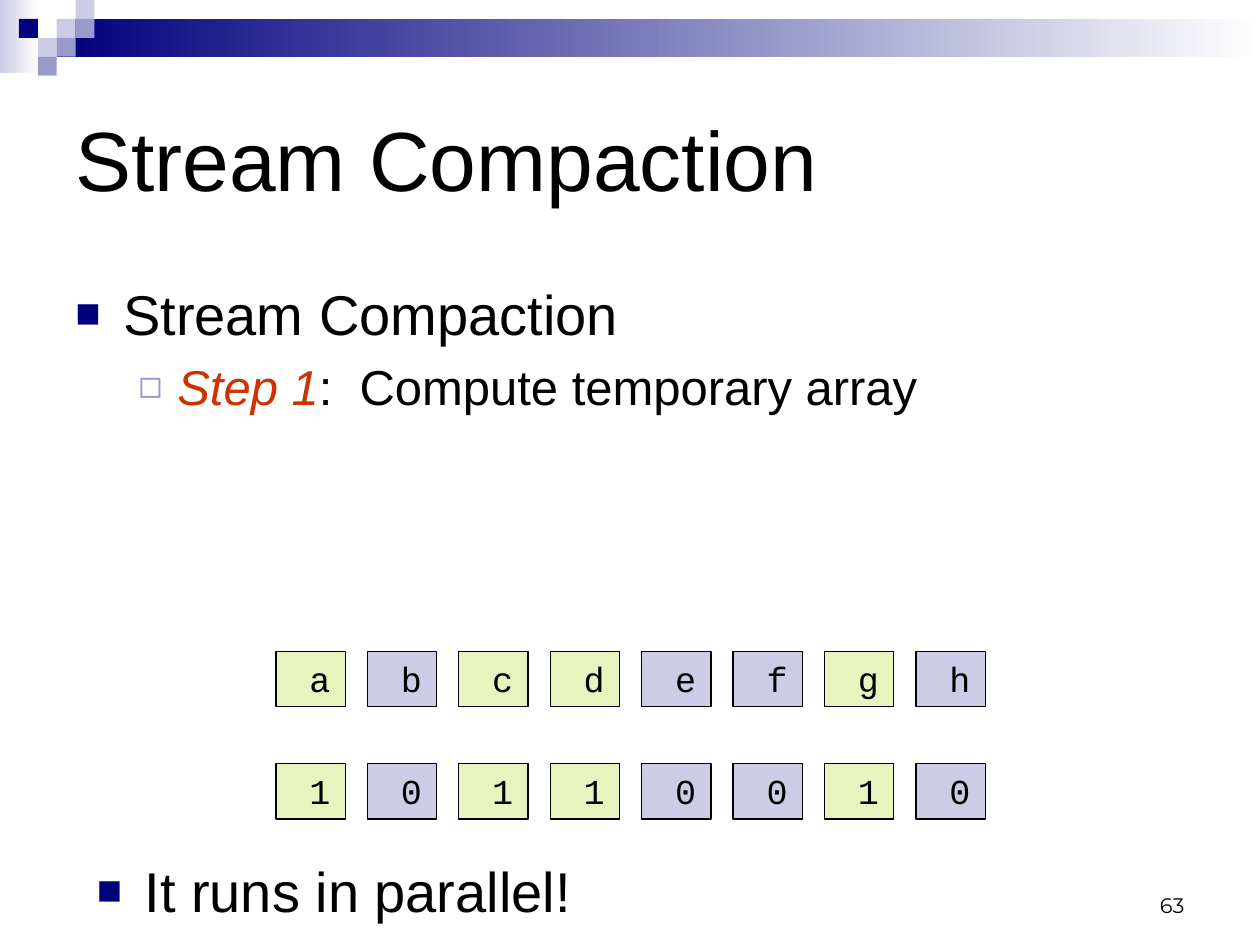
import dataclasses

import lxml.etree
import pptx
import pptx.dml.color
import pptx.enum.shapes
import pptx.enum.text
import pptx.oxml.ns
import pptx.util

Inches = pptx.util.Inches
Pt = pptx.util.Pt
Anchor = pptx.enum.text.MSO_ANCHOR
Align = pptx.enum.text.PP_ALIGN
AutoSize = pptx.enum.text.MSO_AUTO_SIZE


@dataclasses.dataclass(frozen=True)
class Theme:
    navy: str = "00007D"
    mid: str = "9999CC"
    pale: str = "CCCCE6"
    green: str = "E7F4BE"
    accent: str = "CC3300"
    black: str = "000000"
    white: str = "FFFFFF"
    font: str = "Arial"
    mono: str = "Courier New"
    number_font: str = "Montserrat"
    title: int = 48
    bullet: int = 32
    sub_bullet: int = 28
    cell: int = 20
    number: int = 12


def rgb(color):
    return pptx.dml.color.RGBColor.from_string(color)


class Deck:
    def __init__(self, prs, theme):
        self.theme = theme
        self.slide = prs.slides.add_slide(prs.slide_layouts[6])

    def rect(self, x, y, w, h, color, fade_to=None):
        sp = self.slide.shapes.add_shape(
            pptx.enum.shapes.MSO_SHAPE.RECTANGLE,
            Inches(x), Inches(y), Inches(w), Inches(h))
        sp.shadow.inherit = False
        sp.line.fill.background()
        if fade_to:
            sp.fill.gradient()
            sp.fill.gradient_angle = 0
            for stop, shade in zip(sp.fill.gradient_stops, (color, fade_to)):
                stop.color.rgb = rgb(shade)
        else:
            sp.fill.solid()
            sp.fill.fore_color.rgb = rgb(color)
        return sp

    def run(self, p, text, size, font=None, color=None, italic=False):
        r = p.add_run()
        r.text = text
        r.font.size = Pt(size)
        r.font.name = font or self.theme.font
        r.font.color.rgb = rgb(color or self.theme.black)
        r.font.italic = italic

    def cell(self, x, y, w, h, text, color):
        sp = self.rect(x, y, w, h, color)
        sp.line.color.rgb = rgb(self.theme.black)
        sp.line.width = Pt(0.75)
        tf = sp.text_frame
        tf.word_wrap = False
        tf.auto_size = AutoSize.SHAPE_TO_FIT_TEXT
        tf.vertical_anchor = Anchor.TOP
        p = tf.paragraphs[0]
        p.alignment = Align.LEFT
        self.run(p, text, self.theme.cell, self.theme.mono)

    def text_box(self, x, y, w, h, anchor=Anchor.TOP):
        sp = self.slide.shapes.add_textbox(
            Inches(x), Inches(y), Inches(w), Inches(h))
        tf = sp.text_frame
        tf.word_wrap = True
        tf.vertical_anchor = anchor
        return tf

    def bullet(self, p, char, color, percent, size, left, hang):
        p.space_before = Pt(0.2 * size)
        pPr = p._p.get_or_add_pPr()
        pPr.set("marL", str(Inches(left)))
        pPr.set("indent", str(-Inches(hang)))
        qn = pptx.oxml.ns.qn
        clr = lxml.etree.SubElement(pPr, qn("a:buClr"))
        lxml.etree.SubElement(clr, qn("a:srgbClr"), val=color)
        lxml.etree.SubElement(pPr, qn("a:buSzPct"), val=str(percent * 1000))
        lxml.etree.SubElement(pPr, qn("a:buFont"), typeface=self.theme.font)
        lxml.etree.SubElement(pPr, qn("a:buChar"), char=char)

    def main_bullet(self, p, text):
        t = self.theme
        self.bullet(p, "■", t.navy, 75, t.bullet, 0.38, 0.38)
        self.run(p, text, t.bullet)

    def step_bullet(self, p, step, text):
        t = self.theme
        p.level = 1
        self.bullet(p, "◻", t.mid, 80, t.sub_bullet, 0.81, 0.31)
        self.run(p, step, t.sub_bullet, color=t.accent, italic=True)
        self.run(p, text, t.sub_bullet)

    def header(self):
        t = self.theme
        self.rect(0, 0, 0.31, 0.58, t.pale, t.white)
        self.rect(0.45, 0.15, 9.55, 0.3, t.navy, t.white)
        side = 0.15
        squares = [(3, 1, t.pale), (4, 0, t.pale), (4, 1, t.mid),
                   (2, 2, t.pale), (1, 1, t.navy), (3, 2, t.mid),
                   (2, 3, t.mid)]
        for col, row, color in squares:
            self.rect(col * side, row * side, side, side, color)

    def array(self, y, values, flags):
        for i, (value, flag) in enumerate(zip(values, flags)):
            color = self.theme.green if flag == "1" else self.theme.pale
            self.cell(2.19 + i * 5.08 / 7, y, 0.55, 0.44, f" {value}", color)


def main():
    prs = pptx.Presentation()
    prs.slide_width = Inches(10)
    prs.slide_height = Inches(7.5)
    theme = Theme()
    deck = Deck(prs, theme)
    deck.header()

    title = deck.text_box(0.5, 0.5, 9, 1.5, Anchor.MIDDLE)
    deck.run(title.paragraphs[0], "Stream Compaction", theme.title)

    body = deck.text_box(0.5, 2.17, 9.33, 4.25)
    deck.main_bullet(body.paragraphs[0], "Stream Compaction")
    deck.step_bullet(body.add_paragraph(), "Step 1",
                     ":  Compute temporary array")

    flags = "10110010"
    deck.array(5.17, "abcdefgh", flags)
    deck.array(6.06, flags, flags)

    remark = deck.text_box(0.67, 6.75, 9, 0.83)
    deck.main_bullet(remark.paragraphs[0], "It runs in parallel!")

    number = deck.text_box(7.17, 6.83, 2.33, 0.5, Anchor.BOTTOM)
    p = number.paragraphs[0]
    p.alignment = Align.RIGHT
    deck.run(p, "63", theme.number, theme.number_font)

    prs.save("out.pptx")


if __name__ == "__main__":
    main()
